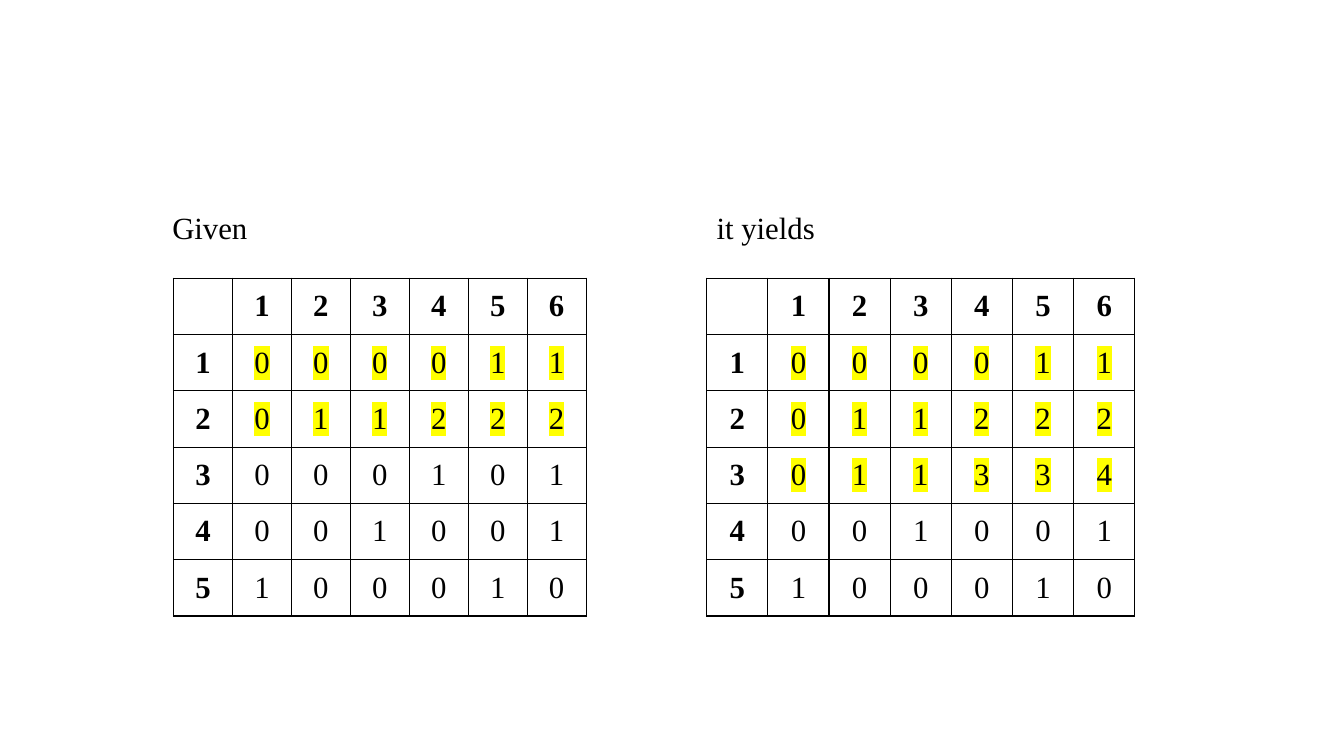
from dataclasses import dataclass

import lxml.etree
import pptx
import pptx.dml.color
import pptx.enum.text
import pptx.oxml.ns
import pptx.util

Pt = pptx.util.Pt
qn = pptx.oxml.ns.qn

FONT = "Times New Roman"
SIZE = 22
BLACK, WHITE, YELLOW = "000000", "FFFFFF", "FFFF00"
LABEL_TOP, LABEL_HEIGHT = 145.44, 33.84
TABLE_TOP, ROW_HEIGHT = 198.8, 40.2


@dataclass
class Label:
    text: str
    left: float
    width: float
    wrap: bool


@dataclass
class Matrix:
    left: float
    col_width: float
    rows: list[str]      # one digit per column
    highlighted: int     # number of leading rows marked yellow


LABELS = [
    Label("Given", 116, 69, False),
    Label("it yields", 504.8, 88.6, True),
]
MATRICES = [
    Matrix(124, 42.1, ["000011", "011222", "000101", "001001", "100010"], 2),
    Matrix(504.8, 43.7, ["000011", "011222", "011334", "001001", "100010"], 3),
]


def rgb(color: str) -> pptx.dml.color.RGBColor:
    return pptx.dml.color.RGBColor.from_string(color)


def add_color(parent, tag: str, color: str):
    el = lxml.etree.SubElement(parent, qn(tag))
    lxml.etree.SubElement(el, qn("a:srgbClr"), val=color)
    return el


def format_run(r, bold: bool = False, highlight: bool = False) -> None:
    r.font.name, r.font.size, r.font.bold = FONT, Pt(SIZE), bold
    r.font.color.rgb = rgb(BLACK)
    if highlight:
        rPr = r.font._element
        rPr.find(qn("a:solidFill")).addnext(add_color(rPr, "a:highlight", YELLOW))


def style_cell(cell) -> None:
    tcPr = cell._tc.get_or_add_tcPr()
    for side in ("L", "R", "T", "B"):
        ln = lxml.etree.SubElement(tcPr, qn(f"a:ln{side}"), w=str(Pt(1)))
        add_color(ln, "a:solidFill", BLACK)
    cell.fill.solid()
    cell.fill.fore_color.rgb = rgb(WHITE)
    cell.vertical_anchor = pptx.enum.text.MSO_ANCHOR.MIDDLE
    cell.margin_left = cell.margin_right = Pt(5)
    cell.margin_top = cell.margin_bottom = Pt(0)


def add_matrix(s, matrix: Matrix) -> None:
    # Header row and column number the entries; the corner stays empty
    n_cols = len(matrix.rows[0])
    grid = [["", *(str(j + 1) for j in range(n_cols))]]
    grid += [[str(i), *row] for i, row in enumerate(matrix.rows, 1)]
    table = s.shapes.add_table(
        len(grid), n_cols + 1, Pt(matrix.left), Pt(TABLE_TOP),
        Pt(matrix.col_width * (n_cols + 1)), Pt(ROW_HEIGHT * len(grid))).table
    for col in table.columns:
        col.width = Pt(matrix.col_width)
    for i, row in enumerate(grid):
        table.rows[i].height = Pt(ROW_HEIGHT)
        for j, value in enumerate(row):
            cell = table.cell(i, j)
            style_cell(cell)
            if not value:
                continue
            p = cell.text_frame.paragraphs[0]
            p.text = value
            p.alignment = pptx.enum.text.PP_ALIGN.CENTER
            header = i == 0 or j == 0
            format_run(p.runs[0], header, not header and i <= matrix.highlighted)


def add_label(s, label: Label) -> None:
    sp = s.shapes.add_textbox(Pt(label.left), Pt(LABEL_TOP), Pt(label.width), Pt(LABEL_HEIGHT))
    tf = sp.text_frame
    tf.text = label.text
    tf.word_wrap = label.wrap
    tf.auto_size = pptx.enum.text.MSO_AUTO_SIZE.SHAPE_TO_FIT_TEXT
    format_run(tf.paragraphs[0].runs[0])


prs = pptx.Presentation()
prs.slide_width, prs.slide_height = Pt(960), Pt(540)
s = prs.slides.add_slide(prs.slide_layouts[6])

# Input and resulting matrices
for matrix in MATRICES:
    add_matrix(s, matrix)

# Labels above the matrices
for label in LABELS:
    add_label(s, label)

prs.save("out.pptx")
